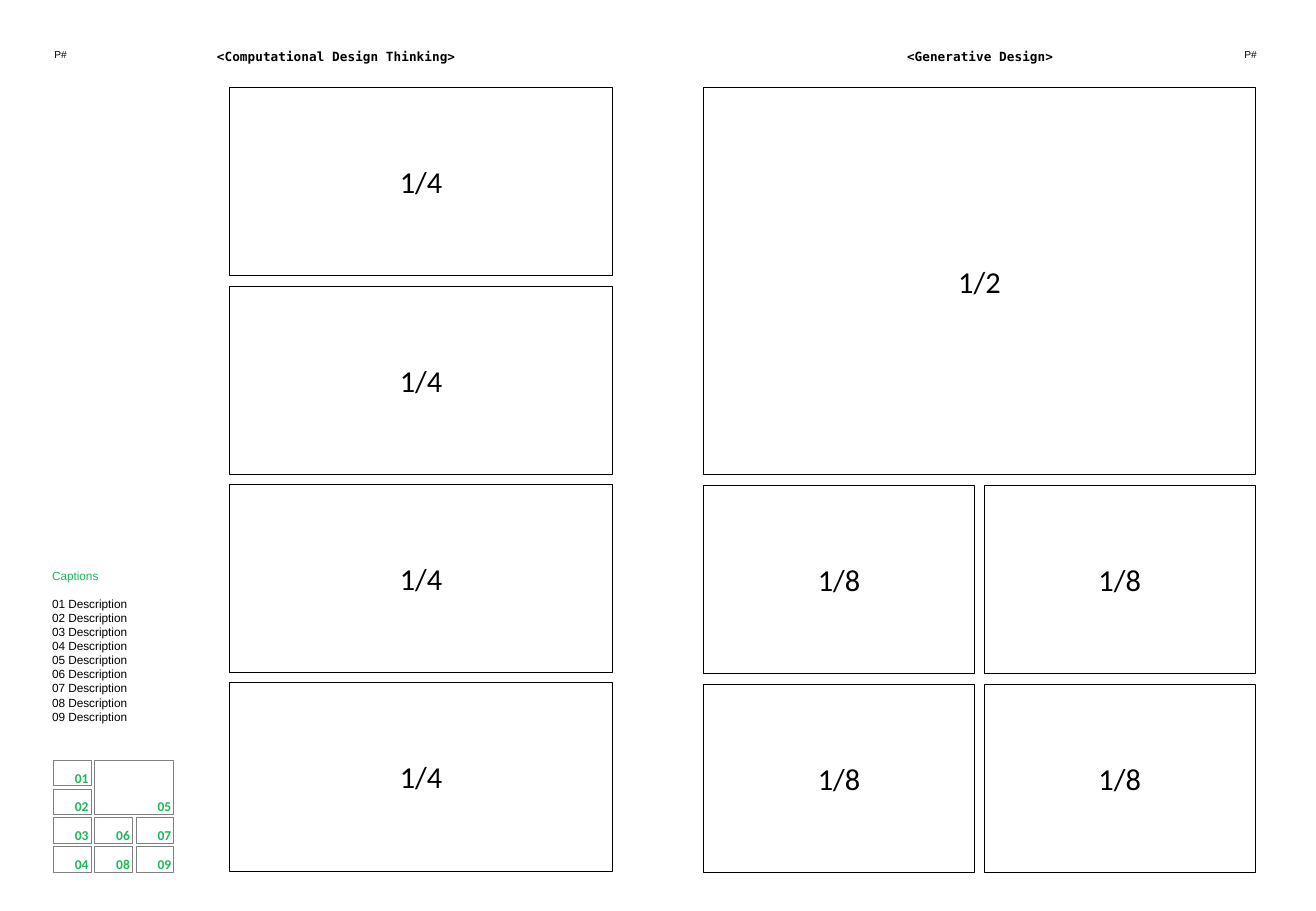
from pptx import Presentation
from pptx.dml.color import RGBColor
from pptx.enum.shapes import MSO_SHAPE
from pptx.enum.text import MSO_ANCHOR, PP_ALIGN
from pptx.util import Inches, Pt

LEFT, CENTER, RIGHT = PP_ALIGN.LEFT, PP_ALIGN.CENTER, PP_ALIGN.RIGHT
MIDDLE, BOTTOM = MSO_ANCHOR.MIDDLE, MSO_ANCHOR.BOTTOM
RECTANGLE = MSO_SHAPE.RECTANGLE

COLORS = {"ink": "000000", "paper": "FFFFFF", "accent": "1CB857", "key": "808080"}

# Content: text boxes as lines, (left, top, width, height), alignment, style
TEXTS = [
    (["<Computational Design Thinking>"], (1.61, 0.35, 2.31, 0.24), CENTER, "heading"),
    (["<Generative Design>"], (6.91, 0.35, 2.31, 0.24), CENTER, "heading"),
    (["P#"], (0.35, 0.35, 0.75, 0.2), LEFT, "folio"),
    (["P#"], (9.69, 0.35, 0.75, 0.2), RIGHT, "folio"),
    (["Captions"], (0.33, 4.63, 0.75, 0.22), LEFT, "caption title"),
    ([f"{number:02} Description" for number in range(1, 10)],
     (0.33, 4.86, 1.14, 1.4), LEFT, "caption"),
]

# Cells: label, column, row, column span, row span
LEFT_FRAMES = [("1/4", 0, row, 1, 1) for row in range(4)]
RIGHT_FRAMES = [("1/2", 0, 0, 2, 2)] + [
    ("1/8", column, row, 1, 1) for row in (2, 3) for column in (0, 1)]
KEY_CELLS = [(f"{row + 1:02}", 0, row, 1, 1) for row in range(4)] + [
    ("05", 1, 0, 2, 2),
    ("06", 1, 2, 1, 1), ("07", 2, 2, 1, 1),
    ("08", 1, 3, 1, 1), ("09", 2, 3, 1, 1),
]

# Grids: cells, origin, overall size, cell size, columns, look
ROWS = 4
GRIDS = [
    (LEFT_FRAMES, (1.89, 0.72), (3.15, 6.45), (3.15, 1.55), 1, "frame"),
    (RIGHT_FRAMES, (5.79, 0.72), (4.54, 6.46), (2.23, 1.55), 2, "frame"),
    (KEY_CELLS, (0.44, 6.26), (0.99, 0.92), (0.31, 0.21), 3, "key"),
]

# Styles: font, size, bold, colour
STYLES = {
    "heading": ("DejaVu Sans Mono", 7.5, True, "ink"),
    "folio": ("Arial", 6, False, "ink"),
    "caption title": ("Arial", 7, False, "accent"),
    "caption": ("Arial", 7, False, "ink"),
    "frame": ("Calibri", 18, False, "ink"),
    "key": ("Calibri", 8, True, "accent"),
}


def color(name):
    return RGBColor.from_string(COLORS[name])


def write(frame, lines, alignment, style):
    name, size, bold, ink = STYLES[style]
    frame.word_wrap = True
    for index, line in enumerate(lines):
        para = frame.add_paragraph() if index else frame.paragraphs[0]
        para.text = line
        para.alignment = alignment
        para.font.name, para.font.size, para.font.bold = name, Pt(size), bold
        para.font.color.rgb = color(ink)


def add_cell(page, label, area, look):
    box = page.shapes.add_shape(RECTANGLE, *map(Inches, area))
    box.shadow.inherit = False
    frame = box.text_frame
    if look == "frame":
        box.fill.solid()
        box.fill.fore_color.rgb = color("paper")
        line_color, line_width, alignment = "ink", 0.25, CENTER
        frame.vertical_anchor = MIDDLE
    else:
        box.fill.background()
        line_color, line_width, alignment = "key", 0.5, RIGHT
        frame.vertical_anchor = BOTTOM
        frame.margin_left = frame.margin_bottom = 0
        frame.margin_top, frame.margin_right = Inches(0.06), Inches(0.02)
    box.line.color.rgb = color(line_color)
    box.line.width = Pt(line_width)
    write(frame, [label], alignment, look)


def add_grid(page, cells, origin, total, cell, columns, look):
    pitches = [(whole - part) / max(count - 1, 1)
               for whole, part, count in zip(total, cell, (columns, ROWS))]
    for label, column, row, column_span, row_span in cells:
        left, top = (start + step * index for start, step, index
                     in zip(origin, pitches, (column, row)))
        width, height = (part + step * (span - 1) for part, step, span
                         in zip(cell, pitches, (column_span, row_span)))
        add_cell(page, label, (left, top, width, height), look)


deck = Presentation()
deck.slide_width, deck.slide_height = Inches(10.83), Inches(7.5)
page = deck.slides.add_slide(deck.slide_layouts[6])

# Frames and key
for grid in GRIDS:
    add_grid(page, *grid)

# Headings, page numbers and captions
for lines, area, alignment, style in TEXTS:
    box = page.shapes.add_textbox(*map(Inches, area))
    write(box.text_frame, lines, alignment, style)

deck.save("out.pptx")
